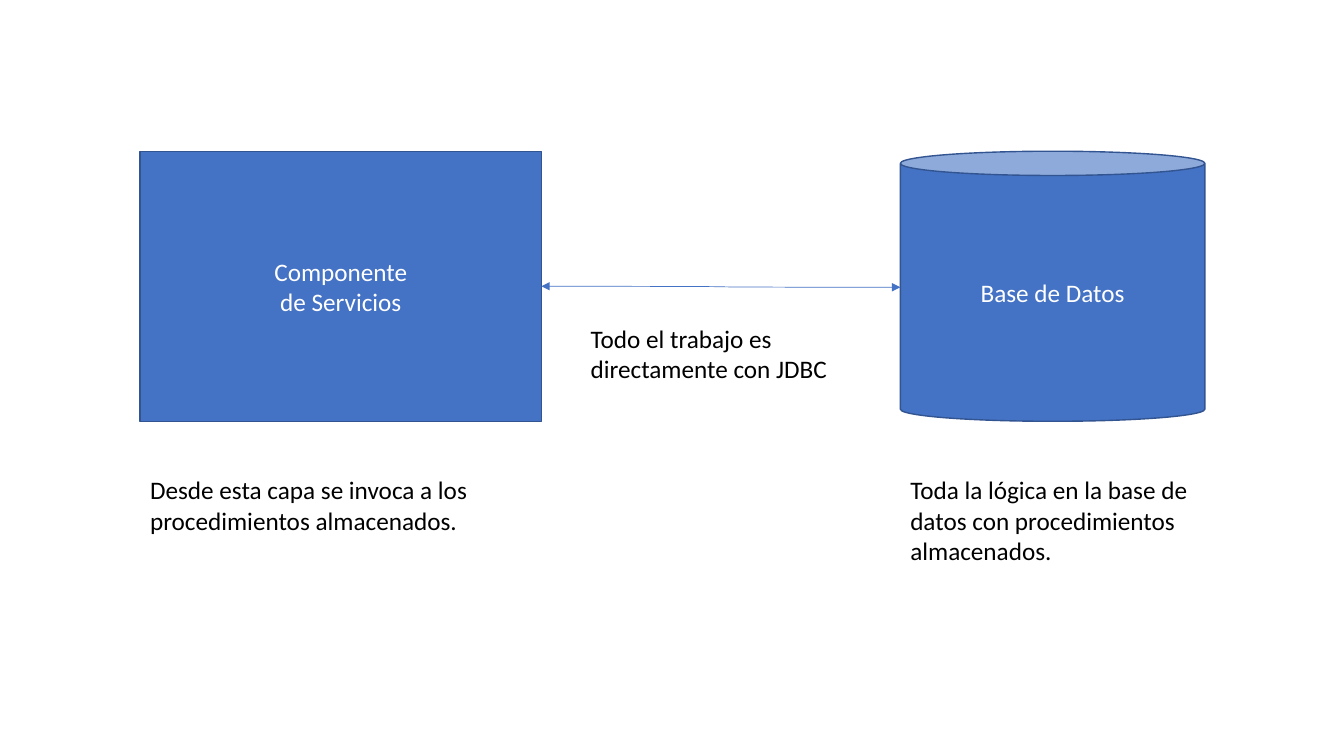
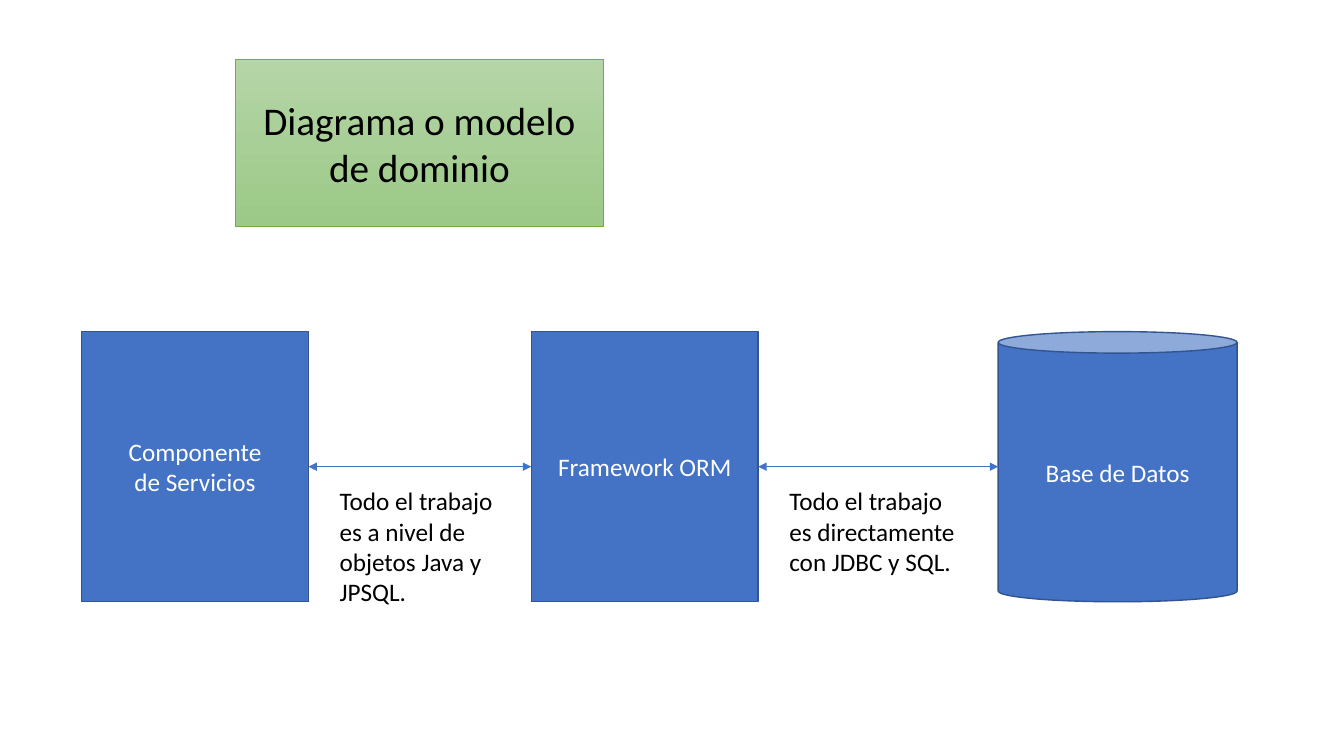
from dataclasses import dataclass

from lxml.etree import SubElement
from pptx import Presentation
from pptx.dml.color import RGBColor
from pptx.enum.shapes import MSO_CONNECTOR as LINK, MSO_SHAPE as SHAPE
from pptx.enum.text import MSO_ANCHOR as ANCHOR, MSO_AUTO_SIZE as FIT, PP_ALIGN as ALIGN
from pptx.oxml.ns import qn
from pptx.util import Emu, Pt

PX = 9144  # 100 px to the inch


@dataclass(frozen=True)
class Theme:
    font: str = "Calibri"
    body: int = 18
    heading: int = 28
    blue: str = "4472C4"
    edge: str = "325491"
    green: str = "70AD47"
    green_top: str = "B5D5A7"
    green_bottom: str = "9CC987"
    light: str = "FFFFFF"
    dark: str = "000000"


THEME = Theme()
SERVICES = "Componente\nde Servicios"
DATABASE = "Base de Datos"


def px(*values):
    return [Emu(v * PX) for v in values]


def rgb(code):
    return RGBColor.from_string(code)


def write(sp, text, size=THEME.body, color=THEME.dark, align=ALIGN.LEFT, anchor=ANCHOR.TOP):
    tf = sp.text_frame
    tf.word_wrap = True
    tf.vertical_anchor = anchor
    for i, line in enumerate(text.split("\n")):
        p = tf.paragraphs[0] if i == 0 else tf.add_paragraph()
        p.alignment = align
        r = p.add_run()
        r.text = line
        r.font.name, r.font.size = THEME.font, Pt(size)
        r.font.color.rgb = rgb(color)


def note(sl, box, text):
    sp = sl.shapes.add_textbox(*px(*box))
    write(sp, text)
    sp.text_frame.auto_size = FIT.SHAPE_TO_FIT_TEXT


def block(sl, box, text, kind=SHAPE.RECTANGLE, edge=THEME.edge, width=1,
          size=THEME.body, color=THEME.light):
    sp = sl.shapes.add_shape(kind, *px(*box))
    sp.shadow.inherit = False
    sp.fill.solid()
    sp.fill.fore_color.rgb = rgb(THEME.blue)
    sp.line.color.rgb = rgb(edge)
    sp.line.width = Pt(width)
    write(sp, text, size, color, ALIGN.CENTER, ANCHOR.MIDDLE)
    return sp


def database(sl, box):
    sp = block(sl, box, DATABASE, SHAPE.CAN)
    sp.adjustments[0] = 0.09
    return sp


def heading(sl, box, text):
    sp = block(sl, box, text, edge=THEME.green, width=0.5,
               size=THEME.heading, color=THEME.dark)
    sp.fill.gradient()
    sp.fill.gradient_angle = 270
    for stop, code in zip(sp.fill.gradient_stops, (THEME.green_top, THEME.green_bottom)):
        stop.color.rgb = rgb(code)


def link(sl, start, end, source, target=None, kind=LINK.STRAIGHT):
    """Two-headed arrow from the right side of source; target is a rectangle."""
    cx = sl.shapes.add_connector(kind, *px(*start, *end))
    cx.begin_connect(source, 3)
    if target is not None:
        cx.end_connect(target, 1)
    cx.line.color.rgb = rgb(THEME.blue)
    cx.line.width = Pt(0.5)
    ln = cx.line._get_or_add_ln()
    for tag in ("a:headEnd", "a:tailEnd"):
        SubElement(ln, qn(tag), type="triangle")
    SubElement(cx._element.spPr, qn("a:effectLst"))


def direct_access(sl, box):
    """Services talk straight to the database."""
    x, y, w, h = box
    comp_w, db_w = 398, 302
    comp_r, db_x = x + comp_w, x + w - db_w
    mid, note_y = y + h // 2, y + 316

    # Tiers and arrow
    database(sl, (db_x, y, db_w, h))
    comp = block(sl, (x, y, comp_w, h), SERVICES)
    link(sl, (comp_r, mid), (db_x, mid + 1), comp, kind=LINK.CURVE)

    # Notes
    note(sl, (db_x, note_y, db_w, 101),
         "Toda la lógica en la base de datos con procedimientos almacenados.")
    note(sl, (comp_r + 39, mid + 32, 279, 71), "Todo el trabajo es directamente con JDBC")
    note(sl, (x, note_y, comp_w, 71),
         "Desde esta capa se invoca a los procedimientos almacenados.")


def orm_access(sl, box):
    """A framework stands between the services and the database."""
    x, y, w, h = box
    tier_w, db_w, gap = 225, 237, 221
    comp_r = x + tier_w
    orm_x = comp_r + gap
    orm_r, db_x = orm_x + tier_w, x + w - db_w
    mid = y + h // 2

    # Tiers
    database(sl, (db_x, y, db_w, h))
    comp = block(sl, (x, y, tier_w, h), SERVICES)
    orm = block(sl, (orm_x, y, tier_w, h), "Framework ORM")

    # Arrows and notes
    link(sl, (comp_r, mid), (orm_x, mid), comp, orm)
    link(sl, (orm_r, mid), (db_x, mid), orm)
    note(sl, (comp_r + 21, mid + 14, 180, 131),
         "Todo el trabajo es a nivel de objetos Java y JPSQL.")
    note(sl, (orm_r + 21, mid + 14, 199, 101),
         "Todo el trabajo es directamente con JDBC y SQL.")


def main():
    prs = Presentation()
    prs.slide_width, prs.slide_height = px(1333, 750)
    blank = prs.slide_layouts[6]

    direct_access(prs.slides.add_slide(blank), (139, 150, 1056, 268))

    sl = prs.slides.add_slide(blank)
    orm_access(sl, (81, 329, 1146, 268))
    heading(sl, (233, 59, 366, 166), "Diagrama o modelo de dominio")

    prs.save("out.pptx")


if __name__ == "__main__":
    main()
